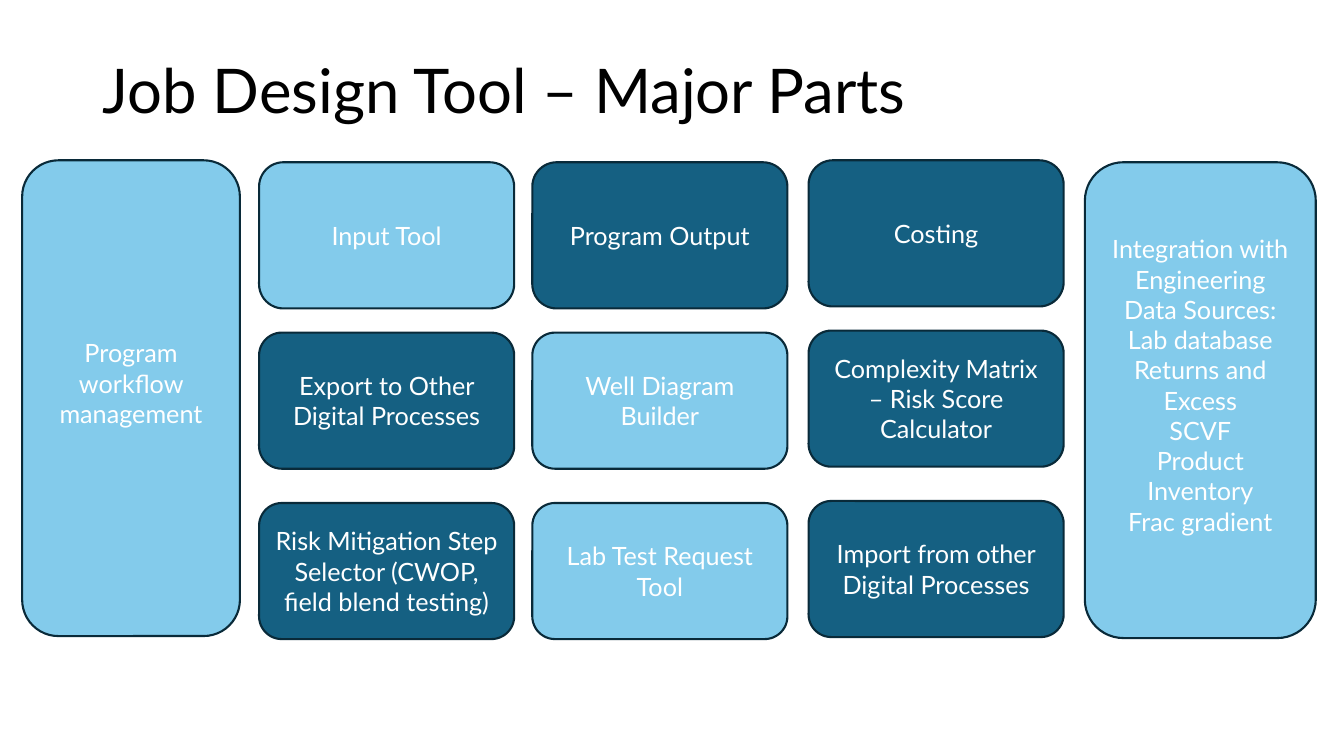
import pptx
import pptx.dml.color
import pptx.enum.shapes
import pptx.enum.text
import pptx.util

Inches = pptx.util.Inches
RGBColor = pptx.dml.color.RGBColor

LIGHT = RGBColor(0x83, 0xCB, 0xEB)
DARK = RGBColor(0x15, 0x60, 0x82)
OUTLINE = RGBColor(0x09, 0x2A, 0x39)
WHITE = RGBColor(0xFF, 0xFF, 0xFF)
BLACK = RGBColor(0x00, 0x00, 0x00)
FONT = "Lato"

COLUMNS = [
    (2.57, 1.61, [
        ("Input Tool", LIGHT),
        ("Export to Other Digital Processes", DARK),
        ("Risk Mitigation Step Selector (CWOP, field blend testing)", DARK),
    ]),
    (5.28, 1.61, [
        ("Program Output", DARK),
        ("Well Diagram Builder", LIGHT),
        ("Lab Test Request Tool", LIGHT),
    ]),
    (8.02, 1.59, [
        ("Costing", DARK),
        ("Complexity Matrix – Risk Score Calculator", DARK),
        ("Import from other Digital Processes", DARK),
    ]),
]
COLUMN_WIDTH = 2.53
ROW_HEIGHTS = [1.45, 1.35, 1.35]
ROW_PITCH = 1.69

WORKFLOW = "Program workflow management"
DATA_SOURCES = "\n".join([
    "Integration with Engineering Data Sources:",
    "Lab database",
    "Returns and Excess",
    "SCVF",
    "Product Inventory",
    "Frac gradient",
])


def style_text(frame, size, color, alignment):
    """Format every paragraph of a vertically centred text frame."""
    frame.word_wrap = True
    frame.vertical_anchor = pptx.enum.text.MSO_ANCHOR.MIDDLE
    for para in frame.paragraphs:
        para.alignment = alignment
        for span in para.runs:
            span.font.name = FONT
            span.font.size = pptx.util.Pt(size)
            span.font.color.rgb = color


def add_title(page, left, top, width, height):
    """Place the slide title in the given box."""
    box = page.shapes.add_textbox(Inches(left), Inches(top), Inches(width), Inches(height))
    box.text_frame.text = "Job Design Tool – Major Parts"
    box.text_frame.paragraphs[0].line_spacing = 0.9
    style_text(box.text_frame, 44, BLACK, pptx.enum.text.PP_ALIGN.LEFT)


def add_part(page, left, top, width, height, text, fill):
    """Place one rounded part of the tool and return it."""
    part = page.shapes.add_shape(
        pptx.enum.shapes.MSO_SHAPE.ROUNDED_RECTANGLE,
        Inches(left), Inches(top), Inches(width), Inches(height))
    part.shadow.inherit = False
    part.fill.solid()
    part.fill.fore_color.rgb = fill
    part.line.color.rgb = OUTLINE
    part.line.width = pptx.util.Pt(1.5)
    part.text_frame.text = text
    style_text(part.text_frame, 18, WHITE, pptx.enum.text.PP_ALIGN.CENTER)
    return part


def add_side_panel(page, left, top, width, height, text):
    """Place a tall side panel whose text sits slightly above the middle."""
    panel = add_part(page, left, top, width, height, text, LIGHT)
    panel.text_frame.margin_bottom = Inches(0.35)


def add_column(page, left, top, width, parts):
    """Stack a column of parts downwards from the given corner."""
    for row, ((text, fill), height) in enumerate(zip(parts, ROW_HEIGHTS)):
        add_part(page, left, top + row * ROW_PITCH, width, height, text, fill)


def main():
    """Build and save the slide."""
    deck = pptx.Presentation()
    deck.slide_width = Inches(13.33)
    deck.slide_height = Inches(7.5)
    page = deck.slides.add_slide(deck.slide_layouts[6])
    add_title(page, 0.92, 0.4, 11.5, 1.05)
    add_side_panel(page, 0.22, 1.59, 2.16, 4.72, WORKFLOW)
    for left, top, parts in COLUMNS:
        add_column(page, left, top, COLUMN_WIDTH, parts)
    add_side_panel(page, 10.76, 1.61, 2.29, 4.72, DATA_SOURCES)
    deck.save("out.pptx")


if __name__ == "__main__":
    main()
